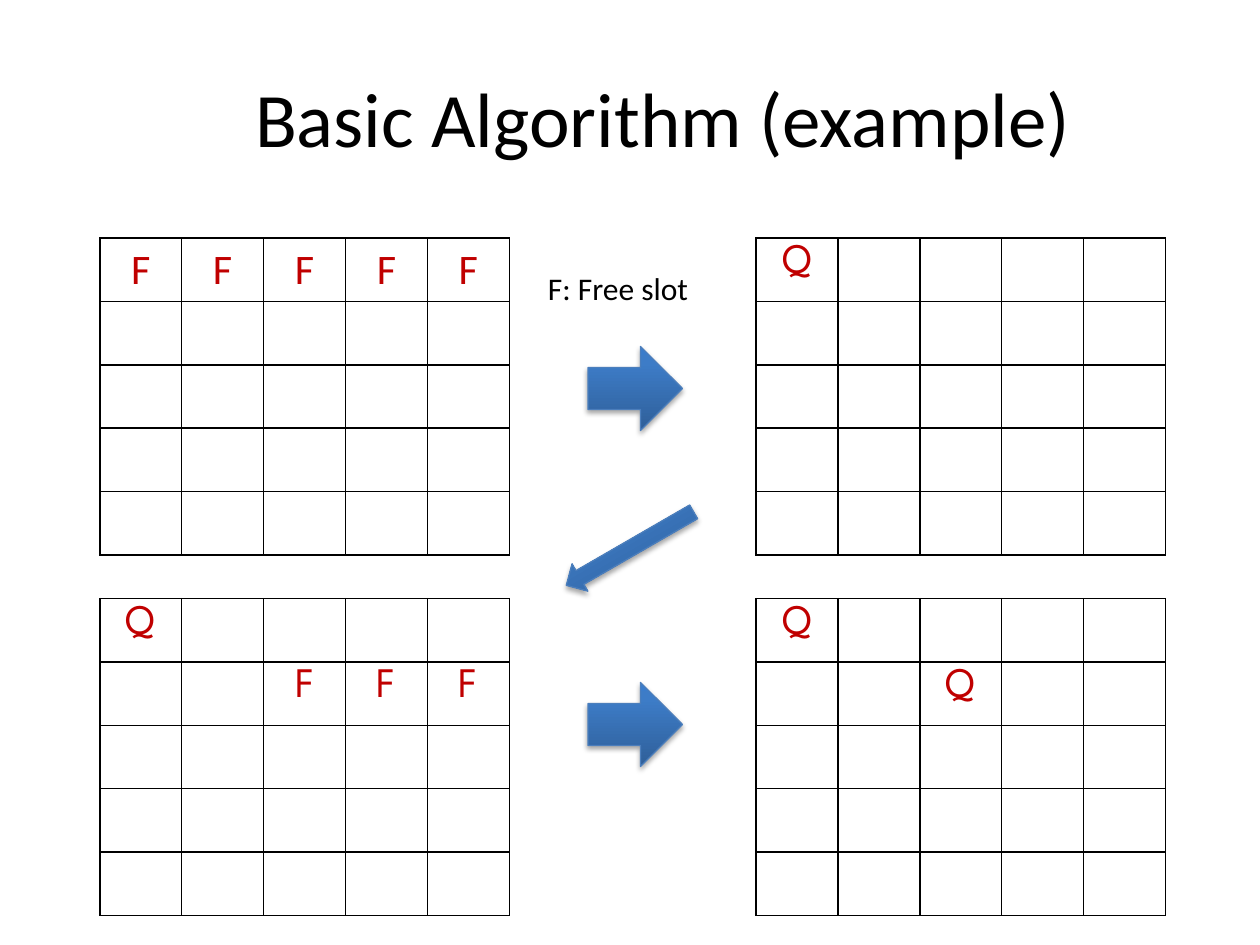
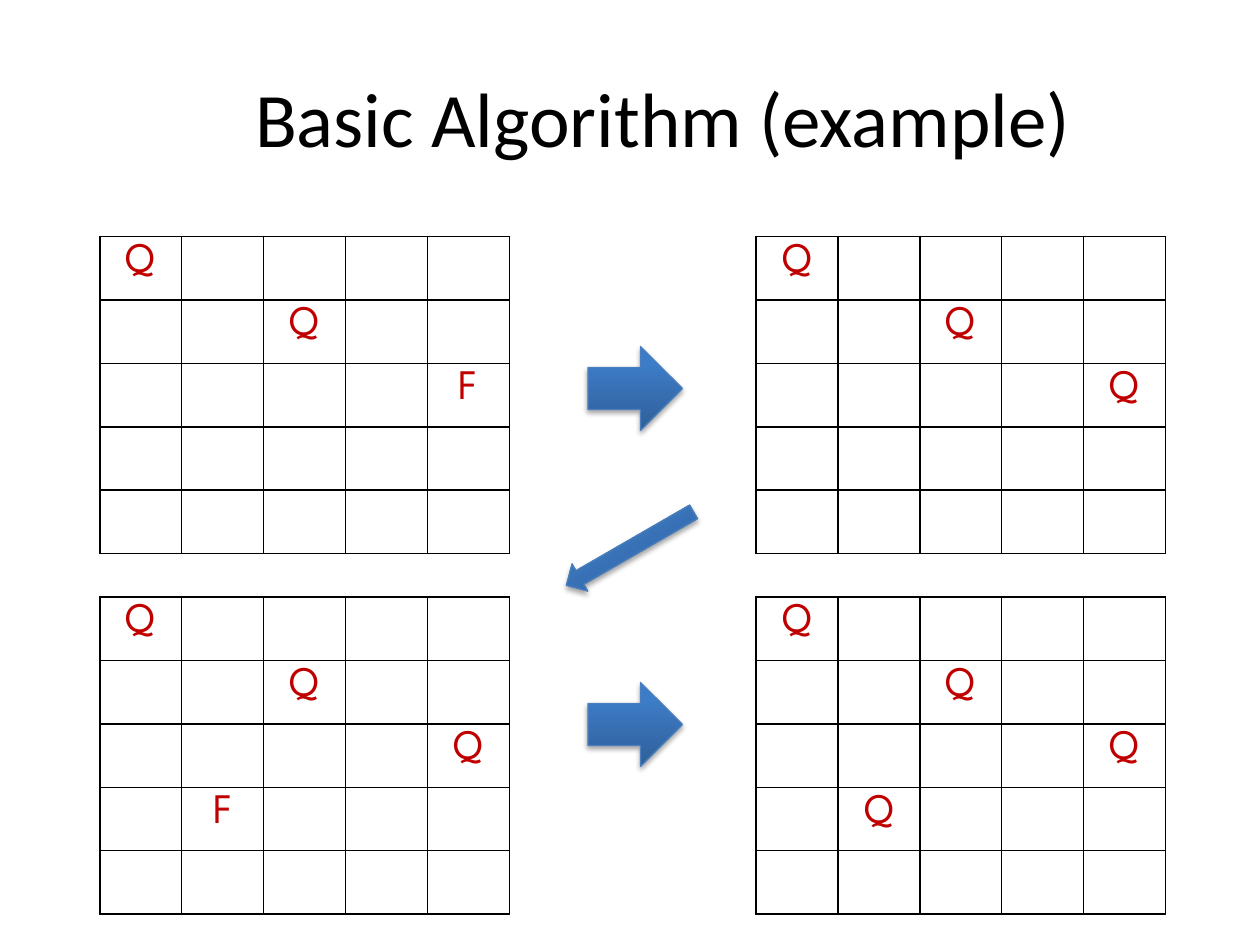
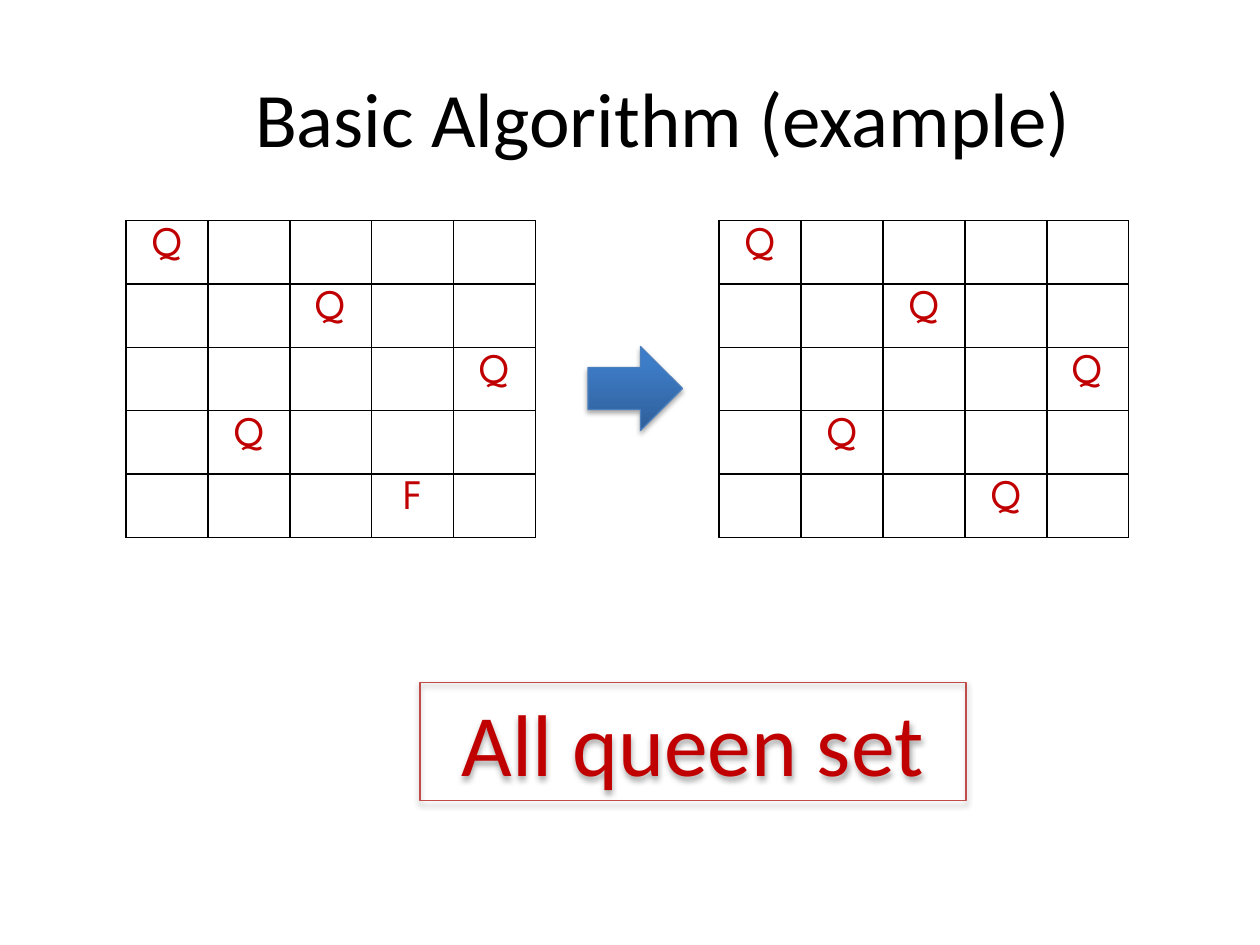
from copy import deepcopy
from lxml import etree
from pptx import Presentation
from pptx import util as u
from pptx.dml import color
from pptx.enum import shapes, text
from pptx.oxml import ns

Pt = u.Pt
SANS, GEO = "Calibri", "League Spartan"
BLACK, RED, EDGE, ROSE = "000000", "C00000", "4B7EBC", "BF4C48"
BLUES = ((0, "2F5F99"), (0.8, "3D7CC7"), (1, "3A7CCB"))
SIZE, COL, ROW = 5, 46.8, 36.25
RIGHT = shapes.MSO_SHAPE.RIGHT_ARROW
LEFT = shapes.MSO_SHAPE.LEFT_ARROW
CENTER = text.PP_ALIGN.CENTER


def rgb(code):
    """Turn a hex string into a colour."""
    return color.RGBColor.from_string(code)


def pts(*box):
    """Turn numbers into lengths in points."""
    return [Pt(n) for n in box]


def write(frame, words, size, face=SANS, tint=BLACK, align=CENTER):
    """Put one styled paragraph into a text frame and return it."""
    para = frame.paragraphs[0]
    para.text, para.alignment = words, align
    font = para.font
    font.size, font.name = Pt(size), face
    font.color.rgb = rgb(tint)
    return para


def shade(shape):
    """Give a shape the soft shadow below it."""
    shape.shadow.inherit = False
    effect = shape._element.spPr.find(ns.qn("a:effectLst"))
    outer = etree.SubElement(effect, ns.qn("a:outerShdw"), blurRad=str(Pt(3.1)),
                             dist=str(Pt(1.8)), dir="5400000", rotWithShape="0")
    tint = etree.SubElement(outer, ns.qn("a:srgbClr"), val=BLACK)
    etree.SubElement(tint, ns.qn("a:alpha"), val="35000")


def outline(shape, tint):
    """Give a shape its thin outline and shadow."""
    shape.line.color.rgb = rgb(tint)
    shape.line.width = Pt(0.75)
    shade(shape)


def arrow(slide, box, kind=RIGHT, turn=0):
    """Draw a blue gradient block arrow."""
    shape = slide.shapes.add_shape(kind, *pts(*box))
    shape.rotation = turn
    fill = shape.fill
    fill.gradient()
    fill.gradient_angle = 90
    stops = shape._element.spPr.find(".//" + ns.qn("a:gsLst"))
    stops.append(deepcopy(stops[-1]))
    for stop, (place, tint) in zip(fill.gradient_stops, BLUES):
        stop.position = place
        stop.color.rgb = rgb(tint)
    outline(shape, EDGE)


def border(cell):
    """Rule all four sides of a cell in black and clear its fill."""
    props = cell._tc.get_or_add_tcPr()
    for side in "LRTB":
        line = etree.SubElement(props, ns.qn("a:ln" + side), w=str(Pt(1)))
        fill = etree.SubElement(line, ns.qn("a:solidFill"))
        etree.SubElement(fill, ns.qn("a:srgbClr"), val=BLACK)
    cell.fill.background()


def board(slide, x, y, marks, face=GEO):
    """Draw a chess board whose rows of marks are parted by slashes."""
    box = pts(x, y, SIZE * COL, SIZE * ROW)
    table = slide.shapes.add_table(SIZE, SIZE, *box).table
    table.first_row = table.horz_banding = False
    for col in table.columns:
        col.width = Pt(COL)
    for row in table.rows:
        row.height = Pt(ROW)
    for cell in table.iter_cells():
        border(cell)
    for r, line in enumerate(marks.split("/")):
        for c, mark in enumerate(line):
            if mark != ".":
                write(table.cell(r, c).text_frame, mark, 24, face, RED)


def title(slide, box):
    """Place the slide title, indented from the left."""
    frame = slide.shapes.add_textbox(*pts(*box)).text_frame
    frame.word_wrap = True
    frame.vertical_anchor = text.MSO_ANCHOR.MIDDLE
    para = write(frame, "Basic Algorithm (example)", 44)
    para._p.get_or_add_pPr().set("marL", str(Pt(38)))


def quad(slide, box, boards, first=GEO):
    """Lay out four boards in reading order with arrows between them."""
    x, y, w, h = box
    wide, high = SIZE * COL, SIZE * ROW
    for n, marks in enumerate(boards):
        down, over = divmod(n, 2)
        board(slide, x + over * (w - wide), y + down * (h - high), marks,
              GEO if n else first)
    for top in (198, 390):
        arrow(slide, (x + 279, top, 54, 48))
    arrow(slide, (x + 261, 304.5, 84, 18), LEFT, 330)


def pair(slide, box, boards):
    """Lay out two boards side by side with one arrow between them."""
    x, y, w, h = box
    for n, marks in enumerate(boards):
        board(slide, x + n * (w - SIZE * COL), y, marks)
    arrow(slide, (x + 264, y + 72, 54, 48))


def label(slide, box):
    """Place the key to the letter F."""
    frame = slide.shapes.add_textbox(*pts(*box)).text_frame
    frame.word_wrap = False
    write(frame, "F: Free slot", 18, align=text.PP_ALIGN.LEFT)


def result(slide, box):
    """Place the framed closing message."""
    shape = slide.shapes.add_shape(shapes.MSO_SHAPE.RECTANGLE, *pts(*box))
    shape.fill.background()
    outline(shape, ROSE)
    write(shape.text_frame, "All queen set", 50, tint=RED)


def main():
    """Build the three slides and save them."""
    deck = Presentation()
    deck.slide_width, deck.slide_height = pts(720, 540)
    start, middle, end = [deck.slides.add_slide(deck.slide_layouts[6])
                          for _ in range(3)]
    for slide in (start, middle, end):
        title(slide, (36, 21.6, 648, 90))

    two, three = "Q/..Q", "Q/..Q/....Q"
    four = three + "/.Q"
    quad(start, (57, 136, 609, 387.25), ("FFFFF", "Q", "Q/..FFF", two), SANS)
    label(start, (306, 150, 96, 29))
    quad(middle, (57, 135.2, 609, 387.25),
         (two + "/....F", three, three + "/.F", four))
    pair(end, (72, 126, 573, 181.25), (four + "/...F", four + "/...Q"))
    result(end, (240, 390, 312, 67.7))
    deck.save("out.pptx")


if __name__ == "__main__":
    main()
